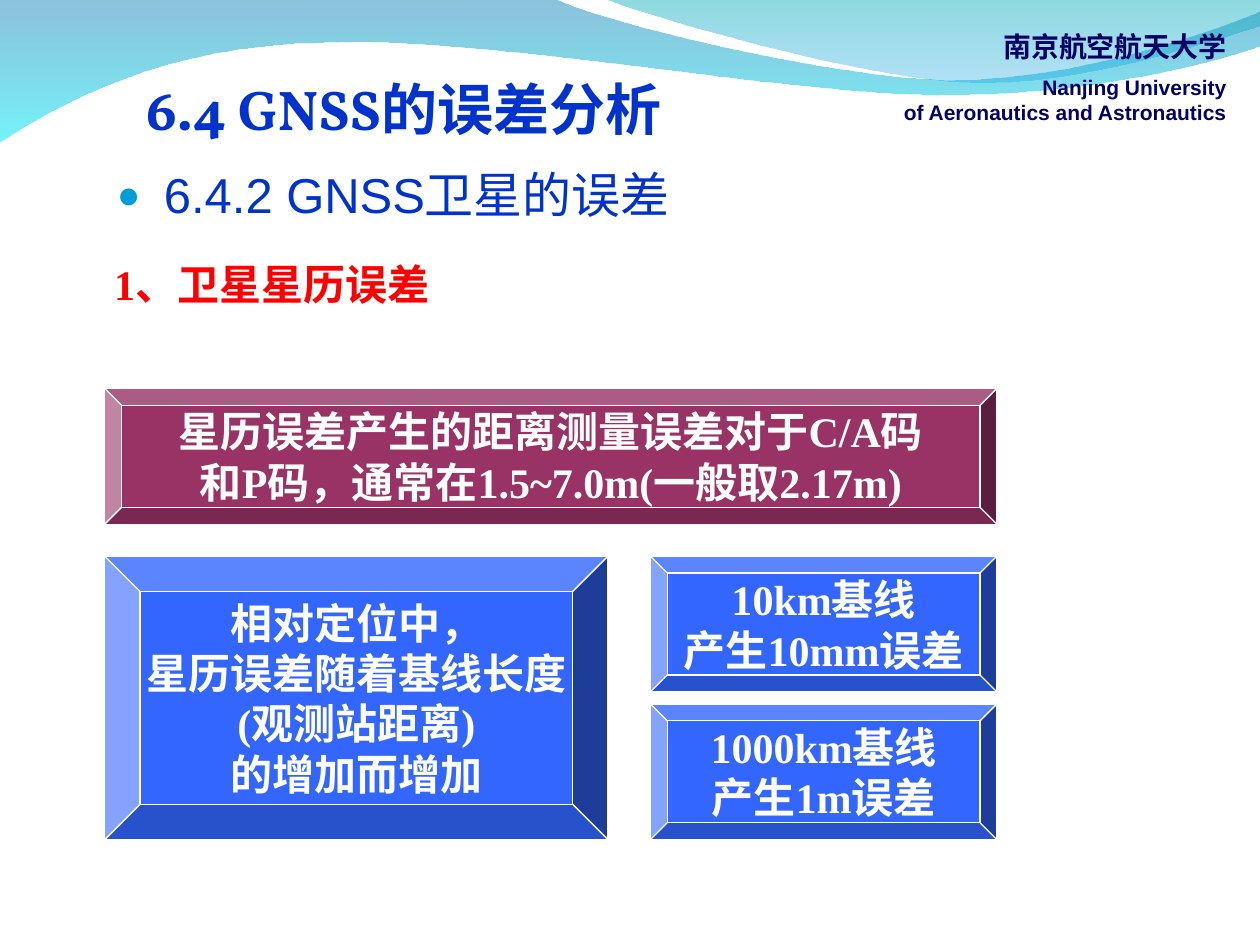
import pptx
import pptx.util
from pptx.dml.color import RGBColor
from pptx.enum.shapes import MSO_SHAPE
from pptx.enum.text import MSO_ANCHOR, MSO_AUTO_SIZE, PP_ALIGN
from pptx.oxml.ns import qn
from lxml import etree

Cm, Pt = pptx.util.Cm, pptx.util.Pt

COLORS = {
    "title": "0033CC", "bullet": "009DD9", "school": "000066", "topic": "FF0000",
    "plum": "993366", "blue": "3366FF", "white": "FFFFFF",
    "wave top": "0079AF", "wave bottom": "00EBF8",
    "crest top": "00ADB6", "crest bottom": "009BE5",
}


def write_lines(frame, lines, font_name, color, bold, alignment):
    """Write (text, size) lines, one paragraph each."""
    for index, (text, size) in enumerate(lines):
        paragraph = frame.paragraphs[0] if index == 0 else frame.add_paragraph()
        paragraph.text = text
        paragraph.alignment = alignment
        paragraph.space_before = Pt(0)
        paragraph.font.name = font_name
        paragraph.font.size = Pt(size)
        paragraph.font.bold = bold
        paragraph.font.color.rgb = RGBColor.from_string(COLORS[color])


presentation = pptx.Presentation()
presentation.slide_width, presentation.slide_height = Cm(25.4), Cm(19.05)
slide = presentation.slides.add_slide(presentation.slide_layouts[1])
title, body = slide.placeholders

# Header waves: a one-point segment is a line, a three-point one a curve;
# gradient stops are (colour, opacity in percent) from top to bottom
waves = [
    ((0, -0.03),
     [[(11.18, -0.03)],
      [(12.09, 0.43), (16.87, 1.6), (19.25, 1.6)],
      [(21.67, 1.6), (24.33, 0.66), (25.4, 0.23)],
      [(25.43, 0.91)],
      [(24.97, 1.12), (22.1, 1.93), (18.95, 1.91)],
      [(15.8, 1.91), (9.7, 0.71), (6.53, 0.86)],
      [(3.28, 0.89), (1.17, 2.11), (-0.03, 2.87)]],
     [("wave top", 45), ("wave bottom", 55)]),
    ((12.17, -0.03),
     [[(12.93, 0.28), (17.32, 1.57), (19.53, 1.65)],
      [(21.74, 1.75), (24.41, 0.81), (25.4, 0.53)],
      [(25.4, 0)]],
     [("crest top", 45), ("crest bottom", 30)]),
]
for start, segments, stops in waves:
    builder = slide.shapes.build_freeform(*map(Cm, start))
    builder.add_line_segments([tuple(map(Cm, point)) for segment in segments
                               for point in segment], close=True)
    wave = builder.convert_to_shape()
    # Join the three lines of each curved segment into one cubic curve
    lines = iter(list(wave.element.iter(qn("a:lnTo"))))
    for segment in segments:
        parts = [next(lines) for _ in segment]
        if len(parts) == 3:
            curve = etree.Element(qn("a:cubicBezTo"))
            parts[0].addprevious(curve)
            for part in parts:
                curve.append(part[0])
                part.getparent().remove(part)
    wave.shadow.inherit = False
    wave.line.fill.background()
    wave.fill.gradient()
    wave.fill.gradient_angle = 270
    for stop, (color, _) in zip(wave.fill.gradient_stops, stops):
        stop.color.rgb = RGBColor.from_string(COLORS[color])
    for node, (_, opacity) in zip(wave.element.iter(qn("a:srgbClr")), stops):
        etree.SubElement(node, qn("a:alpha"), val=str(opacity * 1000))
    title.element.addprevious(wave.element)

# Title and section heading
headings = [
    (title, (2.69, 1.38, 20.98, 2.18), "6.4 GNSS的误差分析", 32, "Vollkorn", True),
    (body, (2.1, 3.33, 12.6, 1.4), "6.4.2 GNSS卫星的误差", 28, "Arial", False),
]
bullet_properties = body.text_frame.paragraphs[0]._p.get_or_add_pPr()
bullet_properties.set("marL", str(Cm(0.95)))
bullet_properties.set("indent", str(-Cm(0.95)))
bullet_color = etree.SubElement(bullet_properties, qn("a:buClr"))
etree.SubElement(bullet_color, qn("a:srgbClr"), val=COLORS["bullet"])
etree.SubElement(bullet_properties, qn("a:buSzPct"), val="80000")
etree.SubElement(bullet_properties, qn("a:buChar"), char="●")
for shape, box, text, size, font_name, bold in headings:
    shape.left, shape.top, shape.width, shape.height = map(Cm, box)
    shape.text_frame.auto_size = MSO_AUTO_SIZE.NONE
    shape.text_frame.vertical_anchor = MSO_ANCHOR.TOP
    write_lines(shape.text_frame, [(text, size)], font_name, "title", bold, PP_ALIGN.LEFT)
body.text_frame.paragraphs[0].line_spacing = 0.9

# University name and topic line
labels = [
    ((17.94, 0.48, 7.04, 2.16),
     [("南京航空航天大学", 16), ("Nanjing University", 12),
      ("of Aeronautics and Astronautics", 12)], "Arial", "school", PP_ALIGN.RIGHT),
    ((2.05, 5.08, 7.06, 1.27),
     [("1、卫星星历误差", 24)], "Times New Roman", "topic", PP_ALIGN.LEFT),
]
for box, lines, font_name, color, alignment in labels:
    frame = slide.shapes.add_textbox(*map(Cm, box)).text_frame
    frame.word_wrap = False
    frame.auto_size = MSO_AUTO_SIZE.SHAPE_TO_FIT_TEXT
    write_lines(frame, lines, font_name, color, True, alignment)
    if len(lines) > 1:
        frame.paragraphs[0].space_after = Pt(6)

# Bevelled panels: a wide one above, a tall one beside two short ones
left, right_edge, lower_top = 2.11, 20.1, 11.21
short, tall, small_width = 2.74, 5.72, 6.99
small_left = right_edge - small_width
panels = [
    (left, 7.83, right_edge - left, short, "plum",
     ["星历误差产生的距离测量误差对于C/A码", "和P码，通常在1.5~7.0m(一般取2.17m)"]),
    (left, lower_top, 10.15, tall, "blue",
     ["相对定位中，", "星历误差随着基线长度", "(观测站距离)", "的增加而增加"]),
    (small_left, lower_top, small_width, short, "blue", ["10km基线", "产生10mm误差"]),
    (small_left, lower_top + tall - short, small_width, short, "blue",
     ["1000km基线", "产生1m误差"]),
]
for *box, color, texts in panels:
    panel = slide.shapes.add_shape(MSO_SHAPE.BEVEL, *map(Cm, box))
    panel.shadow.inherit = False
    panel.fill.solid()
    panel.fill.fore_color.rgb = RGBColor.from_string(COLORS[color])
    panel.line.color.rgb = RGBColor.from_string(COLORS["white"])
    panel.line.width = Pt(0.75)
    panel.text_frame.word_wrap = False
    panel.text_frame.vertical_anchor = MSO_ANCHOR.MIDDLE
    write_lines(panel.text_frame, [(text, 24) for text in texts],
                "Times New Roman", "white", True, PP_ALIGN.CENTER)

presentation.save("out.pptx")
